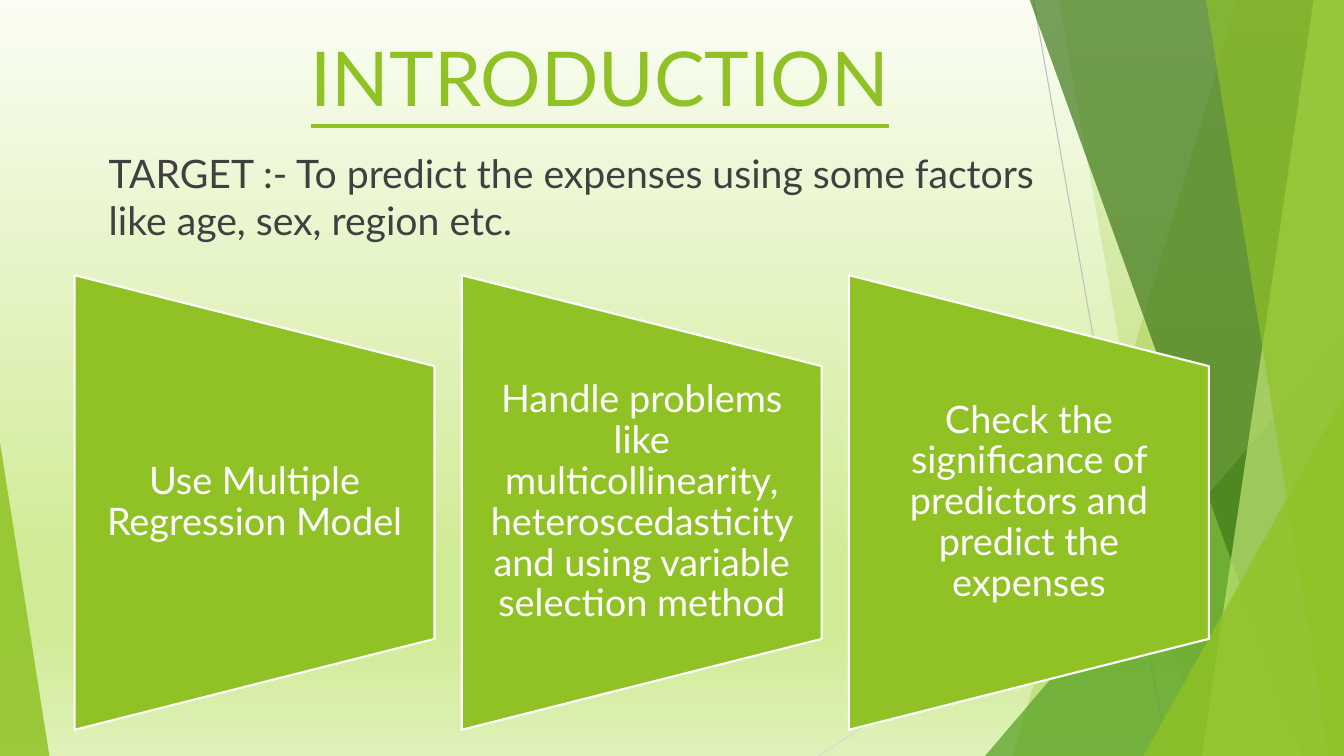
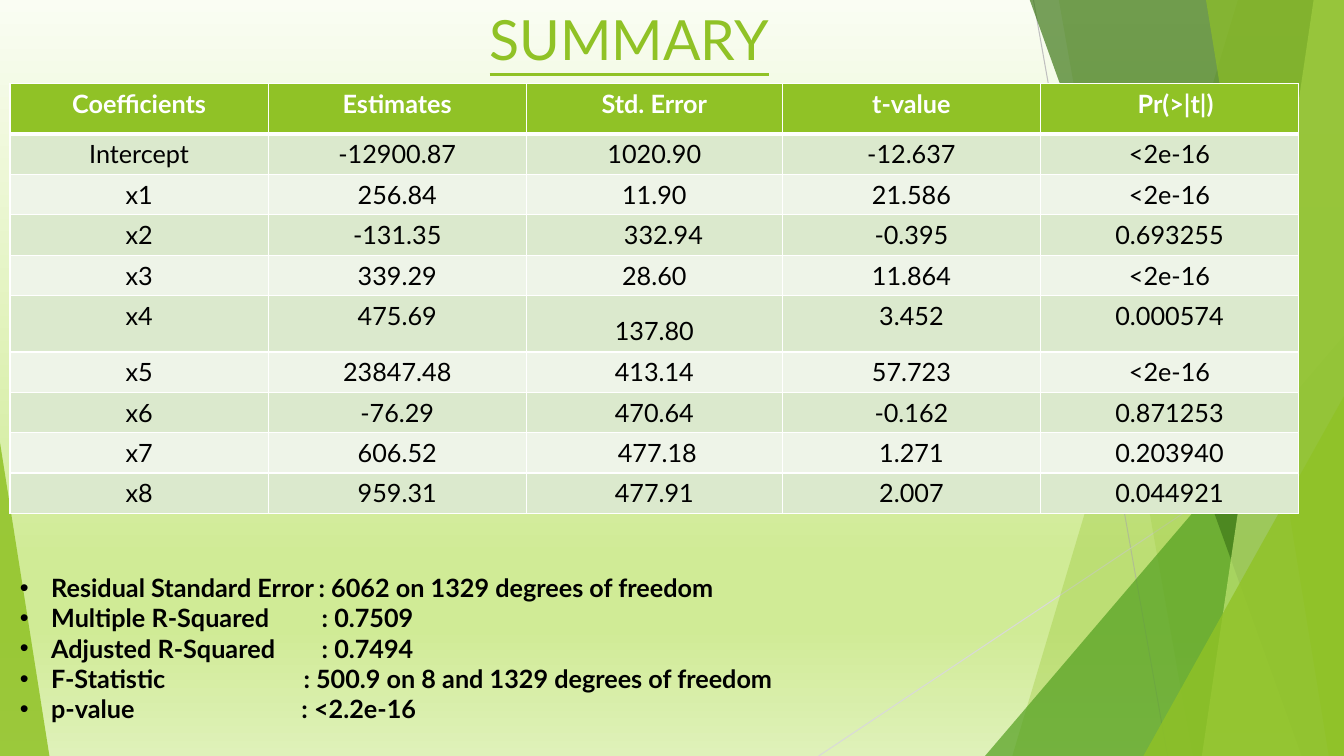
from dataclasses import dataclass
from typing import Any

from lxml import etree
from pptx import Presentation
from pptx import util as u
from pptx.dml.color import RGBColor
from pptx.enum import shapes, text
from pptx.oxml import ns

SCALE = 9144
WIDTH, HEIGHT = 1333, 750
FONT = "Lato"
GREEN, WHITE, BLACK, GREY = "90C226", "FFFFFF", "000000", "404040"
BACKGROUND = ((0, "FAFDF3"), (74, "D0EB96"), (83, "D0EB96"), (100, "DFF1B9"))
BANDS = ("DBE9CD", "EEF4E8")


@dataclass(frozen=True)
class Box:
    left: int
    top: int
    width: int
    height: int

    def emu(self) -> tuple[u.Emu, ...]:
        return tuple(px(n) for n in (self.left, self.top, self.width, self.height))


@dataclass(frozen=True)
class Ray:
    start: tuple[int, int]
    end: tuple[int, int]
    hue: str


@dataclass(frozen=True)
class Ribbon:
    top_left: int
    bottom_left: int
    hue: str
    opacity: int


@dataclass(frozen=True)
class Wedge:
    box: Box
    apex: int
    hue: str
    opacity: int


@dataclass(frozen=True)
class Statistic:
    label: str
    value: str
    indent: int


DECORATION = (
    Ray((1025, 0), (1158, 750), "BFBFBF"),
    Ray((1333, 403), (812, 750), "D9D9D9"),
    Ribbon(1228, 1004, GREEN, 30),
    Ribbon(1050, 1183, GREEN, 20),
    Wedge(Box(977, 333, 356, 417), 1, "54A021", 72),
    Ribbon(1021, 1291, "3F7819", 70),
    Ribbon(1303, 1192, "C0E474", 70),
    Ribbon(1196, 1318, GREEN, 65),
    Wedge(Box(1134, 393, 199, 357), 1, GREEN, 80),
    Wedge(Box(0, 439, 49, 311), 0, GREEN, 85),
)
STEPS = (
    "Use Multiple Regression Model",
    "Handle problems like multicollinearity, heteroscedasticity and using variable selection method",
    "Check the significance of predictors and predict the expenses",
)
COEFFICIENTS = (
    ("Coefficients", "Estimates", "Std. Error", "t-value", "Pr(>|t|)"),
    ("Intercept", "-12900.87", "1020.90", "-12.637", "<2e-16"),
    ("x1", "256.84", "11.90", "21.586", "<2e-16"),
    ("x2", "-131.35", "332.94", "-0.395", "0.693255"),
    ("x3", "339.29", "28.60", "11.864", "<2e-16"),
    ("x4", "475.69", "137.80", "3.452", "0.000574"),
    ("x5", "23847.48", "413.14", "57.723", "<2e-16"),
    ("x6", "-76.29", "470.64", "-0.162", "0.871253"),
    ("x7", "606.52", "477.18", "1.271", "0.203940"),
    ("x8", "959.31", "477.91", "2.007", "0.044921"),
)
COLUMN_WIDTHS = (256, 256, 254, 256, 256)
ROW_HEIGHTS = (50, 40, 40, 40, 40, 56, 40, 40, 40, 40)
NUDGES = {"Pr(>|t|)": 12, "332.94": 18, "477.18": 6}
LINE_SPACINGS = {"137.80": 1.5}
STATISTICS = (
    Statistic("Residual Standard Error", ": 6062 on 1329 degrees of freedom", 17),
    Statistic("Multiple R-Squared", ": 0.7509", 20),
    Statistic("Adjusted R-Squared", ": 0.7494", 20),
    Statistic("F-Statistic", ": 500.9 on 8 and 1329 degrees of freedom", 2),
    Statistic("p-value", ": <2.2e-16", 0),
)


def px(length: int) -> u.Emu:
    return u.Emu(length * SCALE)


def color(code: str) -> RGBColor:
    return RGBColor.from_string(code)


def apply(target: Any, values: dict[str, Any]) -> None:
    for name, value in values.items():
        setattr(target, name, value)


def child(parent: Any, tag: str, **values: Any) -> Any:
    attributes = {name: str(value) for name, value in values.items()}
    return etree.SubElement(parent, ns.qn(tag), attributes)


def paint(shape: Any, hue: str, opacity: int = 100) -> None:
    shape.shadow.inherit = False
    shape.fill.solid()
    shape.fill.fore_color.rgb = color(hue)
    shape.line.fill.background()
    if opacity < 100:
        code = shape.element.spPr.find(ns.qn("a:solidFill")).find(ns.qn("a:srgbClr"))
        child(code, "a:alpha", val=opacity * 1000)


def write(para: Any, wording: str, size: float, hue: str, **paragraph: Any) -> Any:
    apply(para, paragraph)
    span = para.add_run()
    span.text = wording
    apply(span.font, {"name": FONT, "size": u.Pt(size)})
    span.font.color.rgb = color(hue)
    return span


def add_frame(page: Any, box: Box, **values: Any) -> Any:
    frame = page.shapes.add_textbox(*box.emu()).text_frame
    apply(frame, {"word_wrap": True, **values})
    return frame


def add_title(page: Any, wording: str, box: Box, size: float) -> None:
    para = add_frame(page, box).paragraphs[0]
    span = write(para, wording, size, GREEN, alignment=text.PP_ALIGN.CENTER)
    span.font.underline = True


def draw_decoration(group: Any) -> None:
    for item in DECORATION:
        if isinstance(item, Ray):
            ends = [px(n) for n in item.start + item.end]
            line = group.shapes.add_connector(shapes.MSO_CONNECTOR.STRAIGHT, *ends)
            line.line.width = u.Pt(0.75)
            line.line.color.rgb = color(item.hue)
            child(line.element.spPr, "a:effectLst")
        elif isinstance(item, Ribbon):
            builder = group.shapes.build_freeform(item.top_left, -1, scale=float(SCALE))
            corners = ((WIDTH, -1), (WIDTH, HEIGHT), (item.bottom_left, HEIGHT))
            builder.add_line_segments(corners, close=True)
            paint(builder.convert_to_shape(), item.hue, item.opacity)
        else:
            kind = shapes.MSO_SHAPE.ISOSCELES_TRIANGLE
            wedge = group.shapes.add_shape(kind, *item.box.emu())
            wedge.adjustments[0] = item.apex
            paint(wedge, item.hue, item.opacity)


def style_layout(layout: Any, page: Any) -> None:
    for placeholder in list(layout.placeholders):
        layout.shapes.element.remove(placeholder.element)
    fill = layout.background.fill
    fill.gradient()
    fill.gradient_angle = 270
    stops = next(layout.element.iter(ns.qn("a:gsLst")))
    for stop in list(stops):
        stops.remove(stop)
    for position, hue in BACKGROUND:
        child(child(stops, "a:gs", pos=position * 1000), "a:srgbClr", val=hue)
    group = page.shapes.add_group_shape()
    draw_decoration(group)
    layout.shapes.element.append(group.element)


def add_step(page: Any, index: int, wording: str) -> None:
    shift = 384 * index
    panel = page.shapes.add_shape(
        shapes.MSO_SHAPE.FLOWCHART_MANUAL_OPERATION,
        *Box(27 + shift, 320, 451, 357).emu(),
    )
    panel.rotation = 270
    paint(panel, GREEN)
    panel.line.color.rgb = color(WHITE)
    panel.line.width = u.Pt(1.5)
    frame = add_frame(
        page,
        Box(74 + shift, 363, 357, 271),
        vertical_anchor=text.MSO_ANCHOR.MIDDLE,
        margin_left=px(19),
        margin_right=px(19),
        margin_top=0,
        margin_bottom=0,
    )
    centred = {"alignment": text.PP_ALIGN.CENTER, "line_spacing": 0.9}
    write(frame.paragraphs[0], wording, 27, WHITE, **centred)


def add_borders(cell: Any, row: int) -> None:
    properties = cell._tc.get_or_add_tcPr()
    weights = {"L": 1, "R": 1, "T": 3 if row == 1 else 1, "B": 3 if row == 0 else 1}
    for place, (side, weight) in enumerate(weights.items()):
        edge = child(properties, f"a:ln{side}", w=u.Pt(weight))
        child(child(edge, "a:solidFill"), "a:srgbClr", val=WHITE)
        properties.insert(place, edge)


def add_coefficients(page: Any) -> None:
    box = Box(10, 83, sum(COLUMN_WIDTHS), sum(ROW_HEIGHTS))
    size = len(COEFFICIENTS), len(COLUMN_WIDTHS)
    table = page.shapes.add_table(*size, *box.emu()).table
    for column, width in zip(table.columns, COLUMN_WIDTHS):
        column.width = px(width)
    for row, (values, height) in enumerate(zip(COEFFICIENTS, ROW_HEIGHTS)):
        table.rows[row].height = px(height)
        header = row == 0
        for column, value in enumerate(values):
            cell = table.cell(row, column)
            cell.margin_left = px(10 + NUDGES.get(value, 0))
            cell.fill.solid()
            cell.fill.fore_color.rgb = color(GREEN if header else BANDS[(row - 1) % 2])
            add_borders(cell, row)
            span = write(
                cell.text_frame.paragraphs[0],
                value,
                18,
                WHITE if header else BLACK,
                alignment=text.PP_ALIGN.CENTER,
                line_spacing=LINE_SPACINGS.get(value),
            )
            span.font.bold = header


def add_statistics(page: Any) -> None:
    labels = add_frame(page, Box(10, 563, 320, 162), margin_right=0)
    values = add_frame(page, Box(299, 563, 888, 162), margin_left=0)
    for index, item in enumerate(STATISTICS):
        for frame, wording in ((labels, item.label), (values, item.value)):
            para = frame.add_paragraph() if index else frame.paragraphs[0]
            write(para, wording, 18, BLACK).font.bold = True
            properties = para._p.get_or_add_pPr()
            if frame is labels:
                properties.attrib.update({"marL": str(px(31)), "indent": str(px(-31))})
                child(properties, "a:buFont", typeface="Arial")
                child(properties, "a:buChar", char="•")
            else:
                properties.set("marL", str(px(item.indent)))


def main() -> None:
    deck = Presentation()
    apply(deck, {"slide_width": px(WIDTH), "slide_height": px(HEIGHT)})
    layout = deck.slide_layouts[6]
    introduction, summary = (deck.slides.add_slide(layout) for _ in range(2))
    style_layout(layout, introduction)

    add_title(introduction, "INTRODUCTION", Box(125, 26, 940, 144), 54)
    for index, wording in enumerate(STEPS):
        add_step(introduction, index, wording)
    target = add_frame(introduction, Box(98, 143, 940, 104))
    goal = "TARGET :- To predict the expenses using some factors like age, sex, region etc."
    write(target.paragraphs[0], goal, 28, GREY)

    add_title(summary, "SUMMARY", Box(147, 0, 954, 70), 39.6)
    add_coefficients(summary)
    add_statistics(summary)
    deck.save("out.pptx")


if __name__ == "__main__":
    main()
